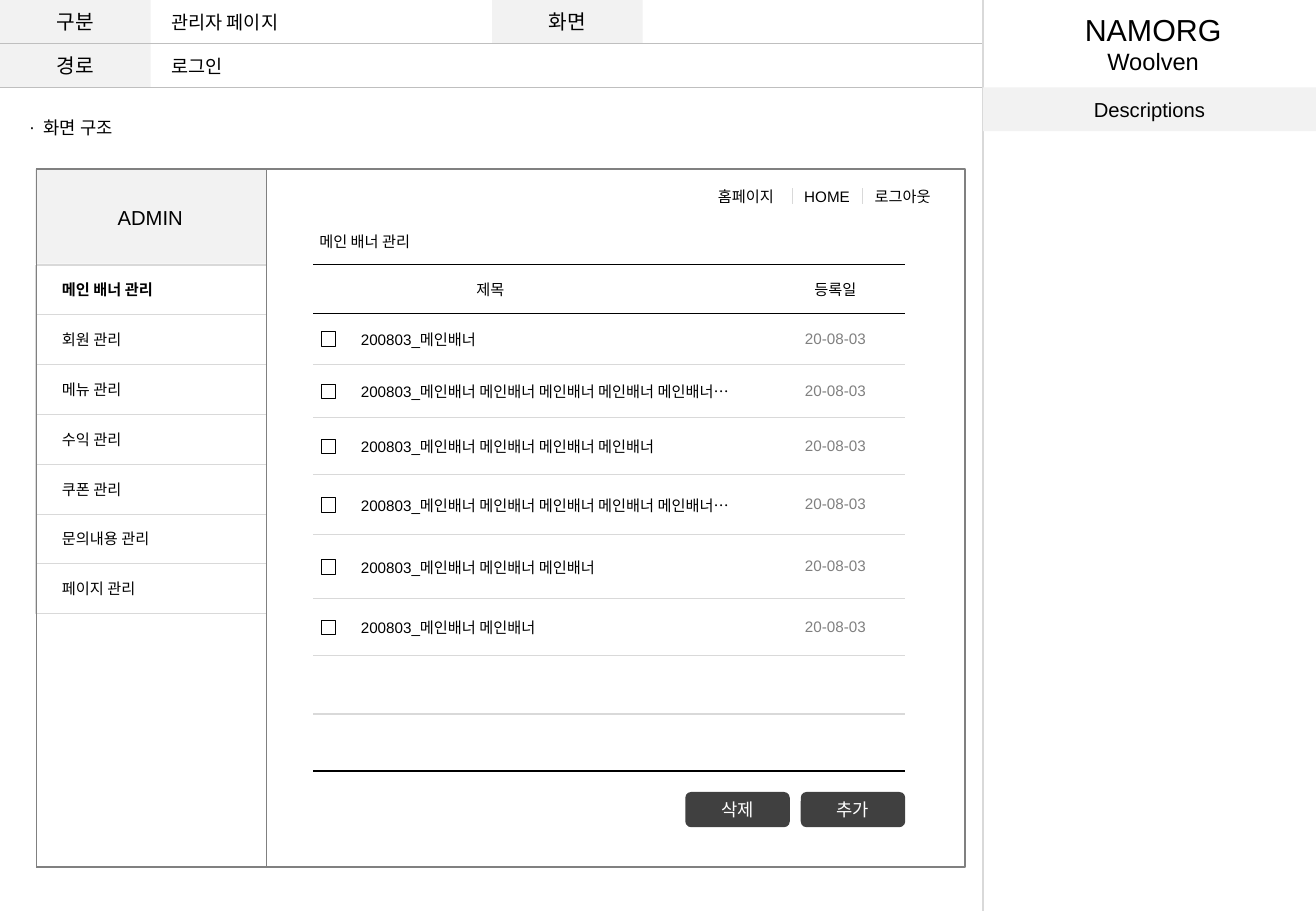
import pptx
import pptx.util
import pptx.dml.color
import pptx.enum.shapes
import pptx.enum.text
import pptx.oxml
import pptx.oxml.ns
import lxml.etree

Inches, Pt = pptx.util.Inches, pptx.util.Pt
SHAPE = pptx.enum.shapes.MSO_SHAPE
ALIGN = pptx.enum.text.PP_ALIGN
ANCHOR = pptx.enum.text.MSO_ANCHOR

FONT = "Arial"
BLACK, WHITE, GREY = "000000", "FFFFFF", "808080"
PANEL, RULE, HEADER_RULE, BUTTON = "F2F2F2", "D9D9D9", "BFBFBF", "404040"

MENU = ["메인 배너 관리", "회원 관리", "메뉴 관리", "수익 관리",
        "쿠폰 관리", "문의내용 관리", "페이지 관리"]
BANNERS = ["200803_메인배너",
           "200803_메인배너 메인배너 메인배너 메인배너 메인배너…",
           "200803_메인배너 메인배너 메인배너 메인배너",
           "200803_메인배너 메인배너 메인배너 메인배너 메인배너…",
           "200803_메인배너 메인배너 메인배너",
           "200803_메인배너 메인배너"]
BANNER_DATE = "20-08-03"
ROW_EDGES = [2.18, 2.58, 3, 3.44, 3.91, 4.4, 4.93, 5.4, 5.88, 6.35]
COLUMN_EDGES = [2.58, 2.87, 6.3, 7.45]


def rgb(hex_colour):
    return pptx.dml.color.RGBColor.from_string(hex_colour)


def add_run(paragraph, text, size, colour=BLACK, bold=False):
    run = paragraph.add_run()
    run.text = text
    run.font.name, run.font.size, run.font.bold = FONT, Pt(size), bold
    run.font.color.rgb = rgb(colour)


def fit_label(label, left, top, width, height, lines, align=ALIGN.LEFT):
    """Place a text box or placeholder and fill it with (text, size) lines."""
    label.left, label.top = Inches(left), Inches(top)
    label.width, label.height = Inches(width), Inches(height)
    frame = label.text_frame
    frame.word_wrap = False
    frame.auto_size = pptx.enum.text.MSO_AUTO_SIZE.SHAPE_TO_FIT_TEXT
    frame.vertical_anchor = ANCHOR.TOP
    for index, (text, size) in enumerate(lines):
        paragraph = frame.add_paragraph() if index else frame.paragraphs[0]
        paragraph.alignment = align
        paragraph.space_before = Pt(0)
        add_run(paragraph, text, size)


def add_label(slide, left, top, width, height, lines, align=ALIGN.LEFT):
    label = slide.shapes.add_textbox(0, 0, 0, 0)
    fit_label(label, left, top, width, height, lines, align)


def add_box(slide, left, top, width, height, fill=None, line=None, weight=0.25,
            kind=SHAPE.RECTANGLE):
    box = slide.shapes.add_shape(kind, Inches(left), Inches(top),
                                 Inches(width), Inches(height))
    box.shadow.inherit = False
    if fill:
        box.fill.solid()
        box.fill.fore_color.rgb = rgb(fill)
    else:
        box.fill.background()
    if line:
        box.line.color.rgb = rgb(line)
        box.line.width = Pt(weight)
    else:
        box.line.fill.background()
    return box


def write_in(box, text, size, colour=BLACK, align=ALIGN.CENTER, bold=False):
    box.text_frame.vertical_anchor = ANCHOR.MIDDLE
    paragraph = box.text_frame.paragraphs[0]
    paragraph.alignment = align
    add_run(paragraph, text, size, colour, bold)


def add_rule(slide, x1, y1, x2, y2, colour=RULE):
    rule = slide.shapes.add_connector(pptx.enum.shapes.MSO_CONNECTOR.STRAIGHT,
                                      Inches(x1), Inches(y1), Inches(x2), Inches(y2))
    rule.line.color.rgb = rgb(colour)
    rule.line.width = Pt(0.75)
    lxml.etree.SubElement(rule._element.spPr, pptx.oxml.ns.qn("a:effectLst"))


def set_borders(cell, top, bottom):
    """Draw the top and bottom borders of a cell and clear its sides."""
    properties = cell._tc.get_or_add_tcPr()
    for index, (side, colour) in enumerate(
            [("L", None), ("R", None), ("T", top), ("B", bottom)]):
        paint = (f'<a:solidFill><a:srgbClr val="{colour}"/></a:solidFill>'
                 if colour else "<a:noFill/>")
        properties.insert(index, pptx.oxml.parse_xml(
            f'<a:ln{side} {pptx.oxml.ns.nsdecls("a")} w="{Pt(0.75)}">{paint}</a:ln{side}>'))


def add_banner_table(slide):
    left, top = COLUMN_EDGES[0], ROW_EDGES[0]
    rows, columns = len(ROW_EDGES) - 1, len(COLUMN_EDGES) - 1
    table = slide.shapes.add_table(
        rows, columns, Inches(left), Inches(top),
        Inches(COLUMN_EDGES[-1] - left), Inches(ROW_EDGES[-1] - top)).table
    table.first_row = table.horz_banding = False
    for column, start, end in zip(table.columns, COLUMN_EDGES, COLUMN_EDGES[1:]):
        column.width = Inches(end - start)
    for row, start, end in zip(table.rows, ROW_EDGES, ROW_EDGES[1:]):
        row.height = Inches(end - start)

    edge_colours = [BLACK, BLACK] + [RULE] * (rows - 2) + [BLACK]
    contents = [("", "제목", "등록일")] + [("", title, BANNER_DATE) for title in BANNERS]
    contents += [("",) * columns] * (rows - len(contents))
    for r, texts in enumerate(contents):
        for c, text in enumerate(texts):
            cell = table.cell(r, c)
            cell.fill.background()
            set_borders(cell, edge_colours[r], edge_colours[r + 1])
            cell.vertical_anchor = ANCHOR.MIDDLE
            cell.margin_top = cell.margin_bottom = cell.margin_right = 0
            cell.margin_left = Inches((0, 0.1, 0)[c])
            paragraph = cell.text_frame.paragraphs[0]
            if c == 2:
                paragraph.alignment = ALIGN.CENTER
            if text:
                add_run(paragraph, text, 9, GREY if r and c == 2 else BLACK)
    table.cell(0, 1).margin_left = Inches(1.05)

    # Checkbox of each banner
    size = 0.12
    for start, end in zip(ROW_EDGES[1:len(BANNERS) + 1], ROW_EDGES[2:]):
        add_box(slide, 2.64, (start + end - size) / 2, size, size, line=BLACK)


def add_page_header(slide):
    for left, top, text in [(0, 0, "구분"), (4.05, 0, "화면"), (0, 0.36, "경로")]:
        write_in(add_box(slide, left, top, 1.24, 0.36, PANEL), text, 12)
    for y in (0.36, 0.72):
        add_rule(slide, 0, y, 8.09, y, HEADER_RULE)
    fit_label(slide.shapes.title, 1.31, 0.04, 1.17, 0.29, [("관리자 페이지", 11)])
    add_label(slide, 1.31, 0.4, 0.66, 0.29, [("로그인", 11)])


def add_section_heading(slide):
    heading = slide.placeholders[1]
    fit_label(heading, 0.14, 0.91, 0.95, 0.29, [("화면 구조", 10.5)])
    properties = heading.text_frame.paragraphs[0]._p.get_or_add_pPr()
    properties.set("marL", str(Inches(0.12)))
    properties.set("indent", str(Inches(-0.12)))
    bullet = lxml.etree.SubElement(properties, pptx.oxml.ns.qn("a:buChar"))
    bullet.set("char", "·")


def add_descriptions(slide):
    add_rule(slide, 8.09, 0, 8.09, 7.5)
    write_in(add_box(slide, 8.09, 0.72, 2.74, 0.36, PANEL), "Descriptions", 12)
    add_label(slide, 8.49, 0.04, 2, 0.64,
              [("NAMORG", 18), ("Woolven", 14)], ALIGN.CENTER)


def add_sidebar(slide):
    add_box(slide, 0.29, 1.39, 1.9, 0.78, PANEL)
    add_box(slide, 0.3, 1.39, 7.64, 5.75, line=GREY, weight=1)
    add_rule(slide, 0.3, 2.18, 2.2, 2.18)
    add_label(slide, 0.87, 1.64, 0.74, 0.3, [("ADMIN", 12)])
    for index, text in enumerate(MENU):
        item = add_box(slide, 0.29, 2.18 + 0.41 * index, 1.9, 0.41, line=RULE)
        item.text_frame.margin_left = Inches(0.22)
        write_in(item, text, 9, align=ALIGN.LEFT, bold=index == 0)
    add_box(slide, 0.3, 1.39, 1.89, 5.75, line=GREY, weight=0.5)


def add_content(slide):
    # Site links
    for left, width, text in [(5.81, 0.71, "홈페이지"), (6.52, 0.58, "HOME"),
                              (7.1, 0.71, "로그아웃")]:
        add_label(slide, left, 1.49, width, 0.25, [(text, 9)])
    for x in (6.52, 7.1):
        add_rule(slide, x, 1.55, x, 1.68)
    # Banner list
    add_label(slide, 2.53, 1.86, 1.03, 0.25, [("메인 배너 관리", 9)])
    add_banner_table(slide)
    # Buttons
    for left, text in [(5.64, "삭제"), (6.59, "추가")]:
        button = add_box(slide, left, 6.52, 0.86, 0.29, BUTTON,
                         kind=SHAPE.ROUNDED_RECTANGLE)
        write_in(button, text, 10.5, WHITE)


def main():
    deck = pptx.Presentation()
    deck.slide_width, deck.slide_height = Inches(10.83), Inches(7.5)
    slide = deck.slides.add_slide(deck.slide_layouts[1])
    add_page_header(slide)
    add_section_heading(slide)
    add_descriptions(slide)
    add_sidebar(slide)
    add_content(slide)
    deck.save("out.pptx")


if __name__ == "__main__":
    main()
